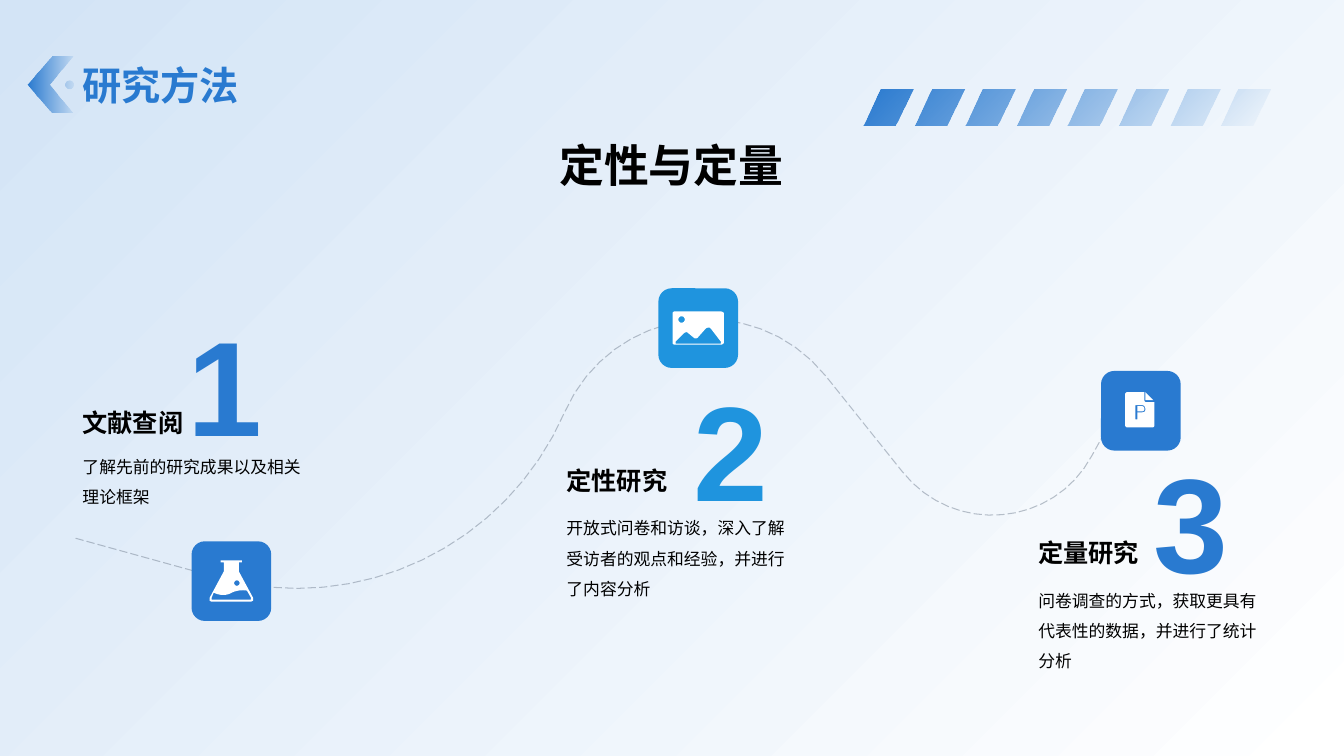
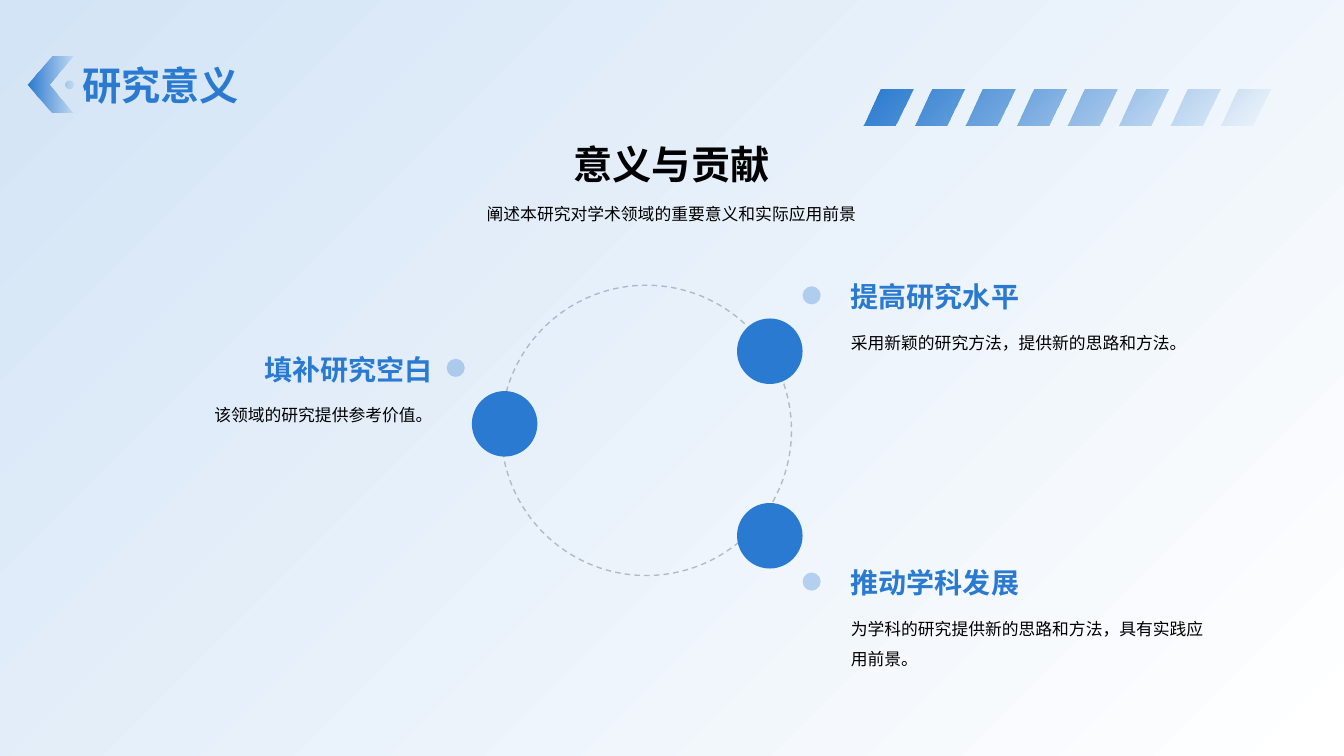
"""Build two slides on research methods and research significance."""
from math import cos, pi, sin

from lxml.etree import SubElement
from pptx import Presentation
from pptx.dml.color import RGBColor
from pptx.enum.dml import MSO_LINE
from pptx.enum.lang import MSO_LANGUAGE_ID
from pptx.enum.shapes import MSO_SHAPE
from pptx.enum.text import MSO_ANCHOR, PP_ALIGN
from pptx.oxml.ns import qn
from pptx.util import Pt

PX = 9144
FONT = "Arial"
BLUE = RGBColor(0x29, 0x7A, 0xD0)
SKY = RGBColor(0x1F, 0x94, 0xDE)
PALE = RGBColor(0xD3, 0xE4, 0xF6)
SLATE = RGBColor(0x77, 0x84, 0x95)
BLACK = RGBColor(0, 0, 0)
WHITE = RGBColor(255, 255, 255)
MARGIN, CONTENT_WIDTH = 72, 1188
BADGE, NUMBER_SIZE, STEP_WIDTH = 79, (99, 185), 247
DISC, DOT = 65, 18


def circle(center_x, center_y, radius, count=24):
    """Return the points of a circle."""
    angles = [2 * pi * step / count for step in range(count)]
    return [(center_x + radius * cos(angle), center_y + radius * sin(angle))
            for angle in angles]


STRIPES = [
    [(left, 89), (left + 33, 89), (left + 15, 124), (left - 17, 124)]
    for left in (round(873 + 50.6 * index) for index in range(8))
]
CHEVRON = [
    circle(68, 84, 4.5),
    [(51, 56), (72, 56), (49, 84), (72, 112), (51, 112), (27, 84)],
]
WAVE = [
    (75, 534), (216, 573), (356, 612, 502, 542, 560, 409),
    (606, 304, 747, 284, 819, 373), (895, 468),
    (946, 532, 1045, 523, 1083, 452), (1120, 385),
]
FLASK = [
    [(219, 556), (240, 556), (240, 558), (237, 558), (237, 567), (251, 593),
     (251, 596), (249, 597), (210, 597), (208, 596), (208, 593), (222, 567),
     (222, 558), (219, 558)],
    [(230, 588), (225, 591, 218, 591, 212, 588), (210, 593), (210, 595),
     (249, 595), (249, 593), (245, 586), (240, 585, 234, 586, 230, 588)],
    circle(235, 578.5, 2.7),
]
LANDSCAPE = [
    [(715, 309), (716, 309, 718, 310, 718, 311), (718, 340),
     (718, 341, 716, 342, 715, 342), (669, 342),
     (668, 342, 667, 341, 667, 340), (667, 311),
     (667, 310, 668, 309, 669, 309)],
    [(704, 325), (703, 325, 701, 325, 700, 326), (692, 335),
     (691, 336, 689, 336, 688, 335), (682, 330),
     (681, 329, 679, 330, 678, 331), (670, 339), (670, 341), (715, 341),
     (715, 339), (705, 326)],
    circle(676, 317, 3.2),
]
DOCUMENT = [
    [(1135, 389), (1135, 397), (1135, 398, 1136, 399, 1137, 399),
     (1145, 399), (1145, 422), (1145, 423, 1144, 424, 1143, 424),
     (1118, 424), (1117, 424, 1116, 423, 1116, 422), (1116, 391),
     (1116, 390, 1117, 389, 1118, 389)],
    [(1133, 402), (1126, 402), (1126, 416), (1128, 416), (1128, 409),
     (1133, 409), (1135, 409, 1136, 408, 1136, 406),
     (1136, 404, 1135, 402, 1133, 402)],
    [(1133, 403), (1134, 403, 1135, 404, 1135, 406),
     (1135, 407, 1134, 408, 1133, 408), (1128, 408), (1128, 403)],
    [(1144, 397), (1137, 397), (1136, 397), (1136, 389)],
]

STEPS = [
    dict(number="1", heading="文献查阅", body="了解先前的研究成果以及相关理论框架",
         color=BLUE, number_at=(173, 287), text_at=(72, 397), gap=41,
         badge_at=(190, 537), icon=FLASK),
    dict(number="2", heading="定性研究",
         body="开放式问卷和访谈，深入了解受访者的观点和经验，并进行了内容分析",
         color=SKY, number_at=(675, 352), text_at=(552, 455), gap=44,
         badge_at=(653, 286), icon=LANDSCAPE),
    dict(number="3", heading="定量研究",
         body="问卷调查的方式，获取更具有代表性的数据，并进行了统计分析",
         color=BLUE, number_at=(1131, 423), text_at=(1020, 526), gap=45,
         badge_at=(1092, 368), icon=DOCUMENT),
]
TOPICS = [
    dict(heading="填补研究空白", body="该领域的研究提供参考价值。",
         dot_at=(443, 356), disc_at=(468, 388), text_left=72,
         width=367, align=PP_ALIGN.RIGHT),
    dict(heading="推动学科发展", body="为学科的研究提供新的思路和方法，具有实践应用前景。",
         dot_at=(796, 568), disc_at=(731, 499), text_left=834,
         width=376, align=PP_ALIGN.LEFT),
    dict(heading="提高研究水平", body="采用新颖的研究方法，提供新的思路和方法。",
         dot_at=(796, 284), disc_at=(731, 316), text_left=834,
         width=376, align=PP_ALIGN.LEFT),
]


def fade(shape, percent):
    """Make the last colour of a shape partly transparent."""
    color = list(shape.element.iter(qn("a:srgbClr")))[-1]
    SubElement(color, qn("a:alpha"), val=str(percent * 1000))


def set_gradient(fill, start, end, angle):
    """Give a fill a two-colour linear gradient."""
    fill.gradient()
    fill.gradient_angle = angle
    for stop, color in zip(fill.gradient_stops, (start, end)):
        stop.color.rgb = color


def flatten(contour, count=16):
    """Turn points and cubic curves into EMU points."""
    points = [contour[0]]
    for piece in contour[1:]:
        if len(piece) == 2:
            points.append(piece)
            continue
        corners = [points[-1], piece[:2], piece[2:4], piece[4:]]
        for step in range(1, count + 1):
            t = step / count
            weights = ((1 - t) ** 3, 3 * t * (1 - t) ** 2,
                       3 * t ** 2 * (1 - t), t ** 3)
            points.append(tuple(
                sum(weight * corner[axis]
                    for weight, corner in zip(weights, corners))
                for axis in (0, 1)))
    return [(round(x * PX), round(y * PX)) for x, y in points]


def add_outline(page, contours, close=True):
    """Draw contours as one freeform without a line."""
    builder = None
    for contour in contours:
        first, *rest = flatten(contour)
        if builder is None:
            builder = page.shapes.build_freeform(*first)
        else:
            builder.move_to(*first)
        builder.add_line_segments(rest, close=close)
    shape = builder.convert_to_shape()
    shape.shadow.inherit = False
    shape.line.fill.background()
    return shape


def add_solid(page, kind, left, top, size, color):
    """Draw a square-sized preset shape with a plain fill."""
    shape = page.shapes.add_shape(
        kind, left * PX, top * PX, size * PX, size * PX)
    shape.shadow.inherit = False
    shape.fill.solid()
    shape.fill.fore_color.rgb = color
    shape.line.fill.background()
    return shape


def set_dashes(shape, width, dash):
    """Leave a shape unfilled with a faint dashed line."""
    shape.fill.background()
    shape.line.color.rgb = SLATE
    shape.line.width = Pt(width)
    shape.line.dash_style = dash
    fade(shape, 50)


def add_text(page, text, frame, size, color=BLACK, bold=False,
             align=PP_ALIGN.LEFT, anchor=MSO_ANCHOR.TOP, spacing=None,
             wrap=True):
    """Add a one-paragraph text box and return its text frame."""
    box = page.shapes.add_textbox(*(length * PX for length in frame))
    text_frame = box.text_frame
    text_frame.word_wrap = wrap
    text_frame.vertical_anchor = anchor
    para = text_frame.paragraphs[0]
    para.text = text
    para.alignment = align
    para.line_spacing = spacing
    para.font.name = FONT
    para.font.size = Pt(size)
    para.font.bold = bold
    para.font.color.rgb = color
    para.font.language_id = MSO_LANGUAGE_ID.SIMPLIFIED_CHINESE
    return text_frame


def add_page(deck, title, headline, headline_size):
    """Add a slide with the shared background, ornaments and titles."""
    page = deck.slides.add_slide(deck.slide_layouts[6])
    set_gradient(page.background.fill, PALE, WHITE, 315)
    for contours, angle, opacity in ((STRIPES, 315, 0), (CHEVRON, 0, 10)):
        ornament = add_outline(page, contours)
        set_gradient(ornament.fill, BLUE, BLUE, angle)
        fade(ornament, opacity)
    add_text(page, title, (MARGIN, 0, CONTENT_WIDTH, 112), 28, BLUE, True,
             anchor=MSO_ANCHOR.BOTTOM)
    add_text(page, headline, (MARGIN, 131, CONTENT_WIDTH, 64), headline_size,
             bold=True, align=PP_ALIGN.CENTER, anchor=MSO_ANCHOR.MIDDLE)
    return page


def add_step(page, step):
    """Add a numbered step with its badge and text."""
    number = add_text(
        page, step["number"], (*step["number_at"], *NUMBER_SIZE), 96,
        step["color"], True, PP_ALIGN.RIGHT, MSO_ANCHOR.MIDDLE, wrap=False)
    number.margin_left = number.margin_right = 12 * PX
    number.margin_top = number.margin_bottom = 12 * PX
    left, top = step["text_at"]
    add_text(page, step["heading"], (left, top, STEP_WIDTH, 42), 18,
             bold=True, anchor=MSO_ANCHOR.BOTTOM)
    add_text(page, step["body"], (left, top + step["gap"], STEP_WIDTH, 97),
             12, spacing=1.5)
    add_solid(page, MSO_SHAPE.ROUNDED_RECTANGLE, *step["badge_at"], BADGE,
              step["color"])
    icon = add_outline(page, step["icon"])
    icon.fill.solid()
    icon.fill.fore_color.rgb = WHITE


def add_topic(page, topic):
    """Add a topic with its disc, dot and text."""
    dot = add_solid(page, MSO_SHAPE.OVAL, *topic["dot_at"], DOT, BLUE)
    fade(dot, 30)
    left, width, align = topic["text_left"], topic["width"], topic["align"]
    top = topic["dot_at"][1] - 12
    add_text(page, topic["heading"], (left, top, width, 44), 20, BLUE, True,
             align, MSO_ANCHOR.MIDDLE)
    add_text(page, topic["body"], (left, top + 43, width, 67), 12,
             align=align, spacing=1.5)
    add_solid(page, MSO_SHAPE.OVAL, *topic["disc_at"], DISC, BLUE)


def main():
    """Build and save the deck."""
    deck = Presentation()
    deck.slide_width, deck.slide_height = 1333 * PX, 750 * PX

    methods = add_page(deck, "研究方法", "定性与定量", 32)
    set_dashes(add_outline(methods, [WAVE], close=False), 0.75,
               MSO_LINE.LONG_DASH)
    for step in STEPS:
        add_step(methods, step)

    significance = add_page(deck, "研究意义", "意义与贡献", 28)
    add_text(significance, "阐述本研究对学术领域的重要意义和实际应用前景",
             (MARGIN, 193, CONTENT_WIDTH, 32), 12, align=PP_ALIGN.CENTER,
             spacing=1.2)
    ring = add_solid(significance, MSO_SHAPE.OVAL, 497, 283, 288, WHITE)
    set_dashes(ring, 1, MSO_LINE.DASH)
    for topic in TOPICS:
        add_topic(significance, topic)

    deck.save("out.pptx")


if __name__ == "__main__":
    main()
